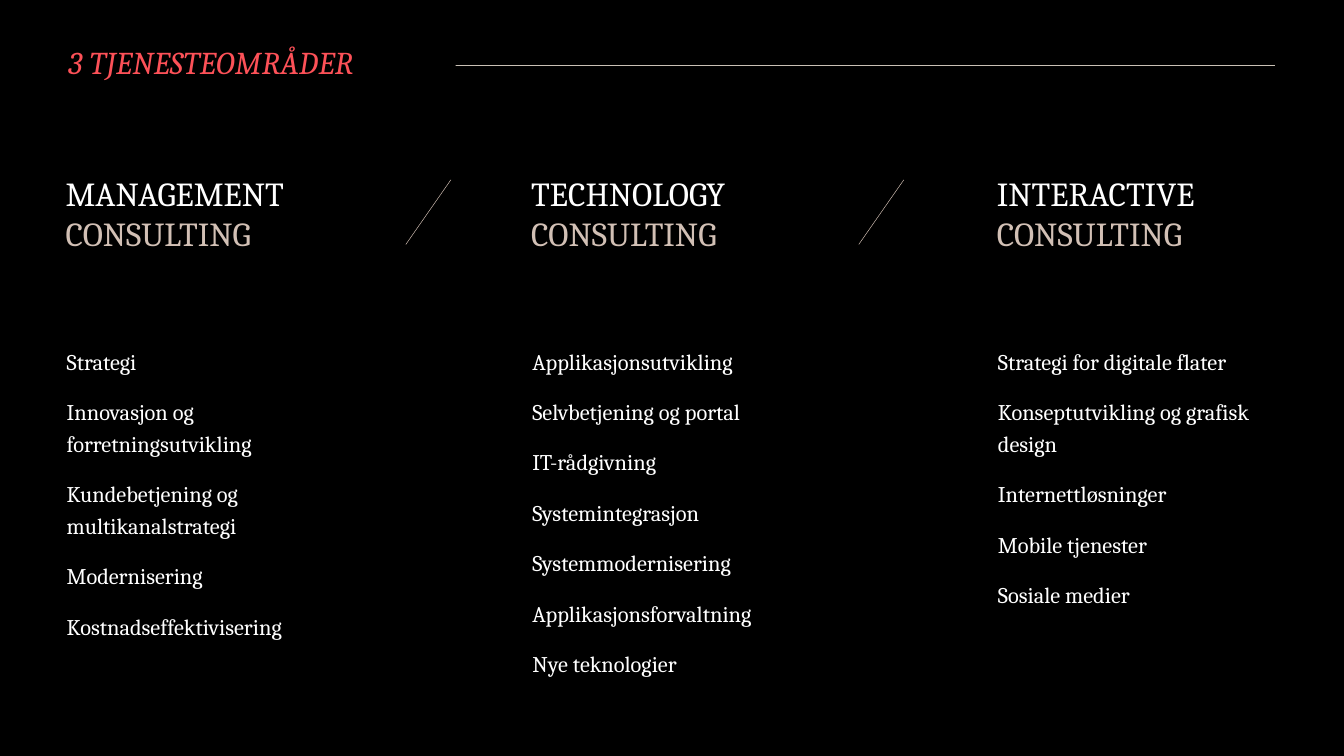
import pptx
import pptx.dml.color
import pptx.enum.shapes
import pptx.enum.text
import pptx.oxml.xmlchemy
import pptx.util

Cm = pptx.util.Cm
Pt = pptx.util.Pt
ANCHOR = pptx.enum.text.MSO_ANCHOR

COLUMN_STEP = 8.8
COLUMNS = [
    ("MANAGEMENT", 5.97, [
        "Strategi", "Innovasjon og forretningsutvikling",
        "Kundebetjening og multikanalstrategi", "Modernisering",
        "Kostnadseffektivisering"]),
    ("TECHNOLOGY", 7.29, [
        "Applikasjonsutvikling", "Selvbetjening og portal", "IT-rådgivning",
        "Systemintegrasjon", "Systemmodernisering",
        "Applikasjonsforvaltning", "Nye teknologier"]),
    ("INTERACTIVE", 5.74, [
        "Strategi for digitale flater", "Konseptutvikling og grafisk design",
        "Internettløsninger", "Mobile tjenester", "Sosiale medier"]),
]


def color(value):
    return pptx.dml.color.RGBColor.from_string(value)


def add_text(para, text, size=12, fill="FFFFFF", italic=False, spacing=None):
    span = para.add_run()
    span.text = text
    span.font.name = "Cambria"
    span.font.size = Pt(size)
    span.font.bold = False
    span.font.italic = italic
    span.font.color.rgb = color(fill)
    if spacing is not None:
        span.font._element.set("spc", str(round(spacing * 100)))


def clear_bullet(para):
    properties = para._p.get_or_add_pPr()
    properties.set("marL", "0")
    properties.set("indent", "0")
    properties.append(pptx.oxml.xmlchemy.OxmlElement("a:buNone"))


class Slide:
    accent, sand, black = "FD5158", "D2C0B5", "000000"

    def __init__(self, page):
        self.page = page
        page.background.fill.solid()
        page.background.fill.fore_color.rgb = color(self.black)

    def place(self, box, left, top, width, height):
        box.left, box.top = Cm(left), Cm(top)
        box.width, box.height = Cm(width), Cm(height)

    def frame(self, box, margins, anchor):
        """Set margins (left, top, right, bottom) and anchor; return the text frame."""
        frame = box.text_frame
        frame.word_wrap = True
        frame.auto_size = pptx.enum.text.MSO_AUTO_SIZE.NONE
        frame.vertical_anchor = anchor
        (frame.margin_left, frame.margin_top,
         frame.margin_right, frame.margin_bottom) = map(Cm, margins)
        return frame

    def title(self, text):
        box = self.page.shapes.title
        self.place(box, 1.04, 0.81, 7.57, 0.74)
        box.fill.solid()
        box.fill.fore_color.rgb = color(self.black)
        para = self.frame(box, (0.25, 0, 0.25, 0), ANCHOR.TOP).paragraphs[0]
        para.alignment = pptx.enum.text.PP_ALIGN.LEFT
        add_text(para, text, size=17, fill=self.accent, italic=True, spacing=0.2)

    def line(self, start, end, stroke, width):
        line = self.page.shapes.add_connector(
            pptx.enum.shapes.MSO_CONNECTOR.STRAIGHT, *map(Cm, start + end))
        line.line.color.rgb = color(stroke)
        line.line.width = Pt(width)
        line._element.spPr.append(pptx.oxml.xmlchemy.OxmlElement("a:effectLst"))
        return line

    def title_rule(self):
        """Draw the rule behind the title, whose fill hides its left end."""
        rule = self.line((1.35, 1.24), (24.1, 1.24), "C9C0B5", 0.2)
        self.page.shapes._spTree.insert(2, rule._element)

    def heading(self, left, name):
        box = self.page.shapes.add_shape(
            pptx.enum.shapes.MSO_SHAPE.OVAL, Cm(left), Cm(1.14), Cm(7.52), Cm(5.77))
        box.shadow.inherit = False
        box.fill.background()
        box.line.fill.background()
        para = self.frame(box, (0, 0.13, 0, 0.13), ANCHOR.MIDDLE).paragraphs[0]
        para.alignment = pptx.enum.text.PP_ALIGN.LEFT
        add_text(para, name + " ", size=18)
        add_text(para, "CONSULTING", size=18, fill=self.sand)

    def service_list(self, box, left, width, services):
        self.place(box, left, 6.35, width, 7.19)
        frame = self.frame(box, (0.3, 0.13, 0.25, 0.13), ANCHOR.TOP)
        for index, service in enumerate(services):
            para = frame.add_paragraph() if index else frame.paragraphs[0]
            clear_bullet(para)
            para.line_spacing = Pt(17)
            para.space_before = Pt(6 if index else 0)
            para.space_after = Pt(4)
            add_text(para, service)


def main():
    deck = pptx.Presentation()
    deck.slide_width, deck.slide_height = Cm(25.4), Cm(14.29)
    page = deck.slides.add_slide(deck.slide_layouts.get_by_name("Comparison"))
    slide = Slide(page)

    slide.title_rule()
    slide.title("3 TJENESTEOMRÅDER")
    bodies = [box for box in page.placeholders if box != page.shapes.title]
    for index, (name, width, services) in enumerate(COLUMNS):
        offset = index * COLUMN_STEP
        slide.service_list(bodies[index], 0.96 + offset, width, services)
        slide.heading(0.14 + offset, name)
    for left in (7.67, 16.23):
        slide.line((left, 4.62), (left + 0.85, 3.4), slide.sand, 0.25)

    for box in list(page.placeholders):
        if not box.text_frame.text:
            box._element.getparent().remove(box._element)
    deck.save("out.pptx")


if __name__ == "__main__":
    main()
